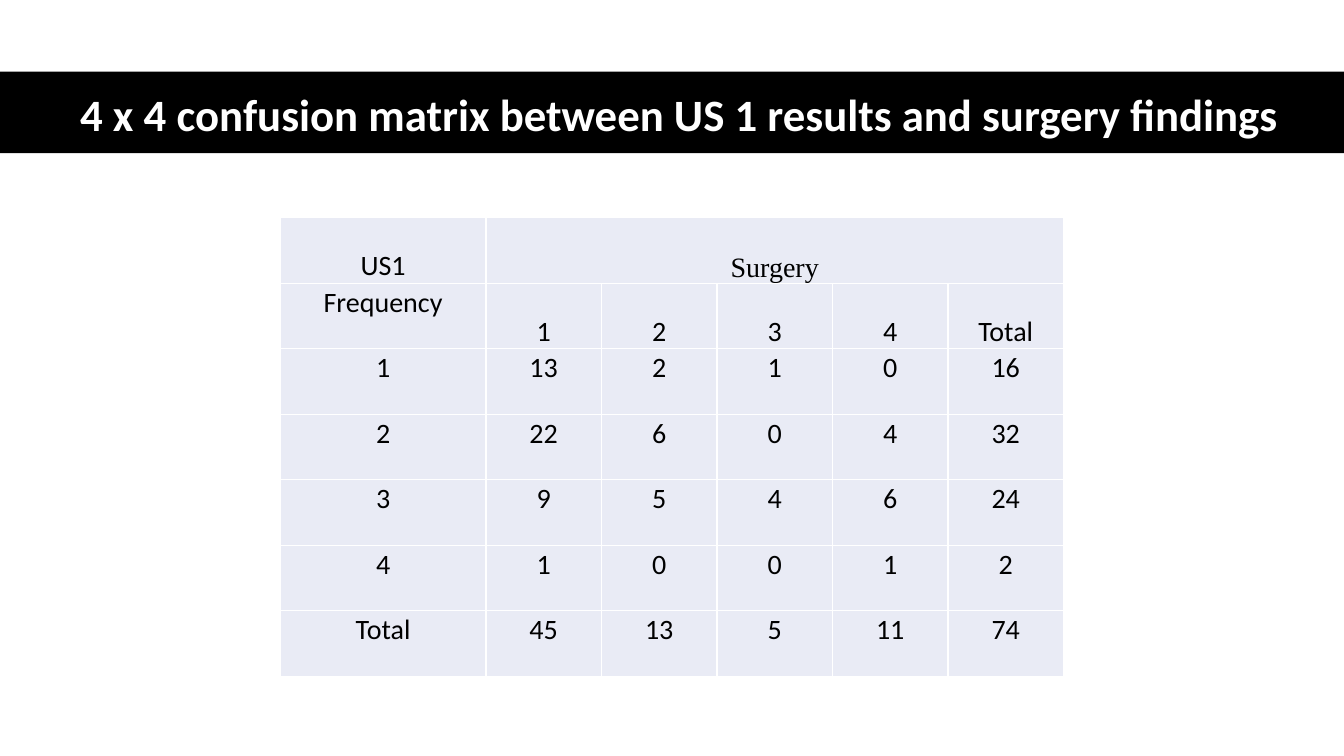
from pptx import Presentation
from pptx.dml.color import RGBColor
from pptx.enum.shapes import MSO_SHAPE
from pptx.enum.text import MSO_ANCHOR, MSO_AUTO_SIZE, PP_ALIGN
from pptx.util import Inches, Pt

TITLE = "4 x 4 confusion matrix between US 1 results and surgery findings"
ROWS = [
    ["US1", "Surgery"],
    ["Frequency", "1", "2", "3", "4", "Total"],
    ["1", "13", "2", "1", "0", "16"],
    ["2", "22", "6", "0", "4", "32"],
    ["3", "9", "5", "4", "6", "24"],
    ["4", "1", "0", "0", "1", "2"],
    ["Total", "45", "13", "5", "11", "74"],
]
COL_WIDTHS = [2.04] + [1.146] * 5
ROW_HEIGHT = 0.65

BLACK = RGBColor(0x00, 0x00, 0x00)
WHITE = RGBColor(0xFF, 0xFF, 0xFF)
CELL_FILL = RGBColor(0xE9, 0xEB, 0xF5)


def write(tf, text, size, color, font="Calibri", bold=False):
    p = tf.paragraphs[0]
    p.alignment = PP_ALIGN.CENTER
    p.line_spacing = 1.07
    p.space_before = p.space_after = Pt(3)
    r = p.add_run()
    r.text = text
    r.font.size = Pt(size)
    r.font.name = font
    r.font.bold = bold
    r.font.color.rgb = color


def add_title(s):
    band = s.shapes.add_shape(MSO_SHAPE.RECTANGLE, 0, Inches(0.71), Inches(13.33), Inches(0.81))
    band.shadow.inherit = False
    band.fill.solid()
    band.fill.fore_color.rgb = BLACK
    band.line.fill.background()
    title = s.shapes.title
    band._element.addnext(title._element)
    title.left, title.top = Inches(0.61), Inches(0.7)
    title.width, title.height = Inches(12.26), Inches(0.81)
    tf = title.text_frame
    tf.word_wrap = True
    tf.auto_size = MSO_AUTO_SIZE.NONE
    tf.vertical_anchor = MSO_ANCHOR.MIDDLE
    write(tf, TITLE, 32, WHITE, bold=True)


def add_matrix(s):
    frame = s.shapes.add_table(len(ROWS), len(COL_WIDTHS), Inches(2.78), Inches(2.16),
                               Inches(sum(COL_WIDTHS)), Inches(ROW_HEIGHT * len(ROWS)))
    table = frame.table
    table.first_row = table.horz_banding = False
    for col, width in zip(table.columns, COL_WIDTHS):
        col.width = Inches(width)
    for row in table.rows:
        row.height = Inches(ROW_HEIGHT)
    table.cell(0, 1).merge(table.cell(0, len(COL_WIDTHS) - 1))
    for i, row in enumerate(ROWS):
        for j, text in enumerate(row):
            cell = table.cell(i, j)
            cell.fill.solid()
            cell.fill.fore_color.rgb = CELL_FILL
            cell.margin_left = cell.margin_right = Inches(0.04)
            cell.margin_top = cell.margin_bottom = 0
            is_header = i == 0 or (i == 1 and j > 0)
            cell.vertical_anchor = MSO_ANCHOR.BOTTOM if is_header else MSO_ANCHOR.TOP
            font = "Times New Roman" if text == "Surgery" else "Calibri"
            write(cell.text_frame, text, 20, BLACK, font)


def main():
    prs = Presentation()
    prs.slide_width, prs.slide_height = Inches(13.33), Inches(7.5)
    s = prs.slides.add_slide(prs.slide_layouts[5])
    add_title(s)
    add_matrix(s)
    prs.save("out.pptx")


if __name__ == "__main__":
    main()
